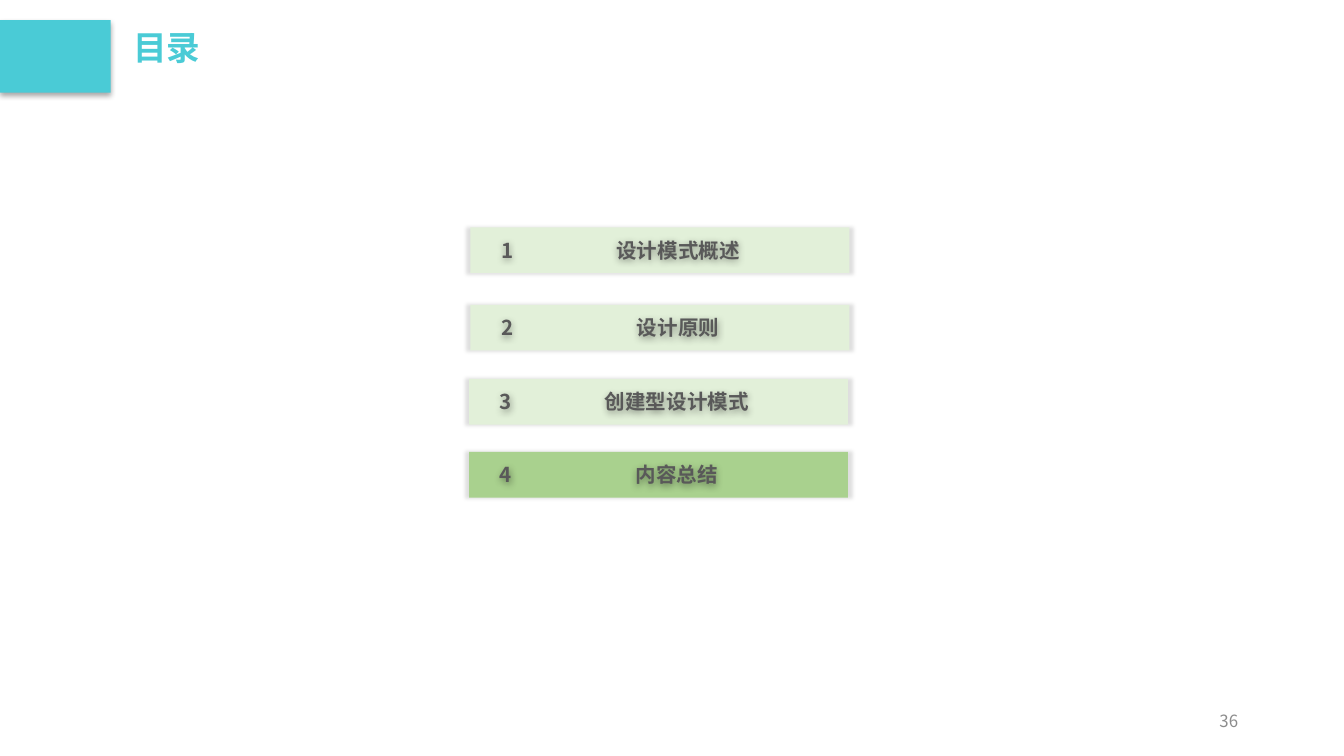
from pptx import Presentation
from pptx.util import Pt
from pptx.dml.color import RGBColor as RGB
from pptx.enum.shapes import MSO_SHAPE as Shape
from pptx.enum.text import MSO_ANCHOR as Anchor, PP_ALIGN as Align
from pptx.oxml import parse_xml
from pptx.oxml.ns import nsdecls

FONT = "Noto Sans CJK SC"
HEX = {"teal": "4ACBD6", "pale": "E2F0D9", "green": "A9D18E",
       "dark": "595959", "grey": "8C8C8C", "black": "000000"}
SIZE = 11  # agenda text


def shade(shape, blur, alpha, dist=0, scale=100):
    """Give a shape a soft black shadow."""
    shape._element.spPr.append(parse_xml(
        f'<a:effectLst {nsdecls("a")}><a:outerShdw blurRad="{Pt(blur)}" '
        f'dist="{Pt(dist)}" dir="5400000" sx="{scale * 1000}" '
        f'sy="{scale * 1000}" algn="ctr" rotWithShape="0">'
        f'<a:srgbClr val="{HEX["black"]}"><a:alpha val="{alpha * 1000}"/>'
        '</a:srgbClr></a:outerShdw></a:effectLst>'))


def block(slide, x, y, w, h, fill):
    rect = slide.shapes.add_shape(Shape.RECTANGLE, Pt(x), Pt(y), Pt(w), Pt(h))
    rect.fill.solid()
    rect.fill.fore_color.rgb = RGB.from_string(HEX[fill])
    rect.line.fill.background()
    return rect


def write(slide, x, y, w, h, text, size=SIZE, color="dark", bold=True,
          align=Align.LEFT, anchor=Anchor.MIDDLE, wrap=True, top=0,
          leading=None):
    box = slide.shapes.add_textbox(Pt(x), Pt(y), Pt(w), Pt(h))
    frame = box.text_frame
    frame.word_wrap = wrap
    frame.vertical_anchor = anchor
    frame.margin_top, frame.margin_bottom = Pt(top), 0
    para = frame.paragraphs[0]
    para.alignment = align
    if leading:
        para.line_spacing = leading
    run = para.add_run()
    run.text = text
    font = run.font
    font.size, font.bold, font.name = Pt(size), bold, FONT
    font.color.rgb = RGB.from_string(HEX[color])
    # East Asian glyphs need their own typeface entry
    run._r.get_or_add_rPr().append(
        parse_xml(f'<a:ea {nsdecls("a")} typeface="{FONT}"/>'))
    return box


def header(slide, x, y, w, h):
    block(slide, x, y, w, h, "teal")
    write(slide, x + w + 5, y + 6.5, 158, 33, "目录", size=18, color="teal",
          anchor=Anchor.TOP, top=1.4, leading=0.8)


def entry(slide, x, y, w, h, num, label, fill):
    bar = block(slide, x, y, w, h, fill)
    shade(bar, blur=2, alpha=12, scale=102)
    wide = SIZE * len(label) + 15  # text plus side margins
    mid = x + w * 0.55
    for left, width, text in ((x + 9.4, 21.6, num),
                              (mid - wide / 2, wide, label)):
        box = write(slide, left, y + 1.6, width, 21, text, wrap=False)
        shade(box, blur=4, alpha=40, dist=1)


def agenda(slide, x, y, w, h):
    rows = ((0, 0, "设计模式概述", "pale"), (0, 41.5, "设计原则", "pale"),
            (-0.7, 81.2, "创建型设计模式", "pale"),
            (-0.7, 120.3, "内容总结", "green"))
    for num, (dx, dy, label, fill) in enumerate(rows, 1):
        entry(slide, x + dx, y + dy, w, h, str(num), label, fill)


def footer(slide, x, y, w, h):
    write(slide, x, y, w, h, "36", size=9, color="grey", bold=False,
          align=Align.RIGHT)


def main():
    deck = Presentation()
    deck.slide_width, deck.slide_height = Pt(720), Pt(405)
    slide = deck.slides.add_slide(deck.slide_layouts[6])
    header(slide, 0, 10.8, 59.3, 38.9)
    agenda(slide, 252, 121.8, 203, 24.5)
    footer(slide, 508.3, 375.1, 162, 21.6)
    deck.save("out.pptx")


if __name__ == "__main__":
    main()
